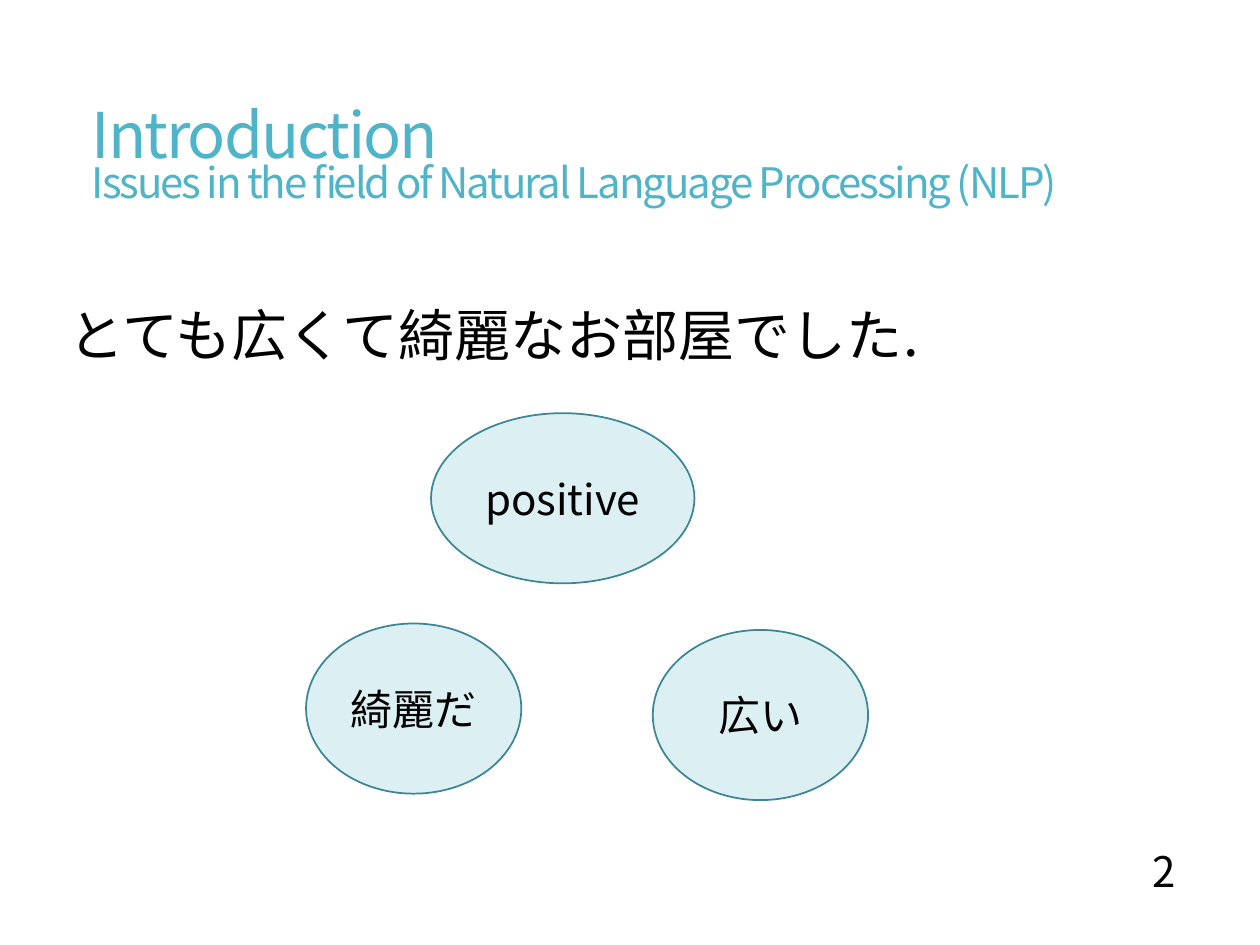
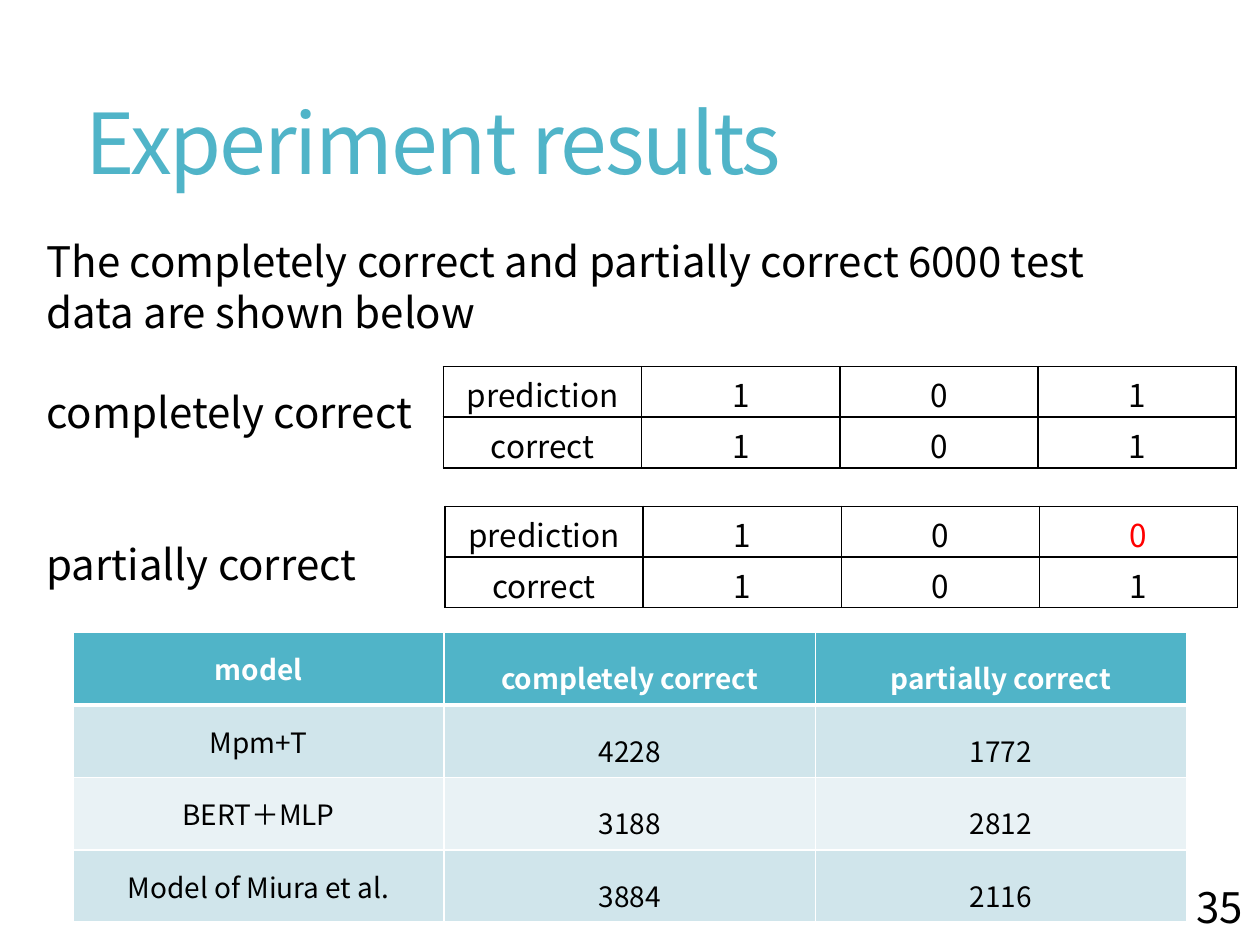
from dataclasses import dataclass
from typing import NamedTuple

from lxml.etree import SubElement
from pptx import Presentation
from pptx.dml.color import RGBColor
from pptx.enum.shapes import MSO_SHAPE
from pptx.enum.text import MSO_ANCHOR, MSO_AUTO_SIZE, PP_ALIGN
from pptx.oxml import parse_xml
from pptx.oxml.ns import nsdecls, qn
from pptx.util import Cm, Pt


@dataclass(frozen=True)
class Theme:
    font: str = "Noto Sans CJK JP"
    accent: str = "50B4C8"
    ink: str = "000000"
    paper: str = "FFFFFF"
    wrong: str = "FF0000"
    bubble: str = "DCF0F4"
    bubble_line: str = "3B8594"
    bands: tuple[str, str] = ("D0E5EB", "E9F2F5")
    title: int = 48
    long_title: int = 36
    sentence: int = 32
    text: int = 24
    label: int = 18
    result: int = 16


class Box(NamedTuple):
    left: float
    top: float
    width: float
    height: float

    def lengths(self) -> list:
        return [Cm(value) for value in self]


class Bubble(NamedTuple):
    text: str
    box: Box


class LabelRow(NamedTuple):
    left: float
    top: float
    values: tuple[str, ...]
    wrong_column: int | None = None


THEME = Theme()

BUBBLES = [
    Bubble("positive", Box(8.69, 8.33, 5.31, 3.43)),
    Bubble("広い", Box(13.16, 12.7, 4.34, 3.43)),
    Bubble("綺麗だ", Box(6.17, 12.57, 4.34, 3.43)),
]
LABEL_ROWS = [
    LabelRow(8.94, 7.39, ("prediction", "1", "0", "1")),
    LabelRow(8.94, 8.41, ("correct", "1", "0", "1")),
    LabelRow(8.97, 10.21, ("prediction", "1", "0", "0"), wrong_column=3),
    LabelRow(8.97, 11.23, ("correct", "1", "0", "1")),
]
RESULTS = [
    ("model", "completely correct", "partially correct"),
    ("Mpm+T", "4228", "1772"),
    ("BERT＋MLP", "3188", "2812"),
    ("Model of Miura et al.", "3884", "2116"),
]
# Text and the space before it in points
EXPLANATION = [
    ("The completely correct and partially correct 6000 test data are shown below", 0),
    ("completely correct", 28),
    ("partially correct", 58),
]


def style(para, size: int, color: str = THEME.ink, align=PP_ALIGN.LEFT,
          bold: bool = False) -> None:
    para.alignment = align
    font = para.font
    font.size = Pt(size)
    font.bold = bold
    font.color.rgb = RGBColor.from_string(color)
    font.name = THEME.font
    SubElement(font._element, qn("a:ea"), typeface=THEME.font)


def place(shape, box: Box) -> None:
    shape.left, shape.top, shape.width, shape.height = box.lengths()


def add_title(page, box: Box, text: str, size: int, spacing: float,
              subtitle: str = "") -> None:
    title = page.shapes.title
    place(title, box)
    frame = title.text_frame
    frame.auto_size = MSO_AUTO_SIZE.NONE
    frame.vertical_anchor = MSO_ANCHOR.MIDDLE
    para = frame.paragraphs[0]
    para.line_spacing = spacing
    style(para, size, THEME.accent)
    para.font._element.set("spc", "-120")
    para.add_run().text = text
    if subtitle:
        para.add_line_break()
        span = para.add_run()
        span.text = subtitle
        span.font.size = Pt(THEME.text)


def add_page_number(page, box: Box, number: int) -> None:
    frame = page.shapes.add_textbox(*box.lengths()).text_frame
    frame.word_wrap = True
    frame.vertical_anchor = MSO_ANCHOR.MIDDLE
    frame.text = str(number)
    style(frame.paragraphs[0], THEME.text, align=PP_ALIGN.RIGHT)


def add_bubble(page, bubble: Bubble) -> None:
    shape = page.shapes.add_shape(MSO_SHAPE.OVAL, *bubble.box.lengths())
    shape.shadow.inherit = False
    shape.fill.solid()
    shape.fill.fore_color.rgb = RGBColor.from_string(THEME.bubble)
    shape.line.color.rgb = RGBColor.from_string(THEME.bubble_line)
    shape.line.width = Pt(1)
    frame = shape.text_frame
    frame.vertical_anchor = MSO_ANCHOR.MIDDLE
    frame.text = bubble.text
    style(frame.paragraphs[0], THEME.text, align=PP_ALIGN.CENTER)


def add_plain_table(page, box: Box, rows: int, columns: int):
    table = page.shapes.add_table(rows, columns, *box.lengths()).table
    table.first_row = False
    table.horz_banding = False
    for row in table.rows:
        row.height = Cm(box.height / rows)
    for column in table.columns:
        column.width = Cm(box.width / columns)
    return table


def set_borders(cell, color: str, bottom: int = 1, top: int = 1) -> None:
    properties = cell._tc.get_or_add_tcPr()
    widths = {"lnL": 1, "lnR": 1, "lnT": top, "lnB": bottom}
    for index, (side, width) in enumerate(widths.items()):
        properties.insert(index, parse_xml(
            f'<a:{side} {nsdecls("a")} w="{Pt(width)}"><a:solidFill>'
            f'<a:srgbClr val="{color}"/></a:solidFill></a:{side}>'))


def add_label_row(page, row: LabelRow) -> None:
    box = Box(row.left, row.top, 15.98, 1.02)
    table = add_plain_table(page, box, 1, len(row.values))
    for index, text in enumerate(row.values):
        cell = table.cell(0, index)
        cell.text = text
        cell.margin_top, cell.margin_bottom = Cm(0.13), Cm(0)
        cell.fill.background()
        set_borders(cell, THEME.ink)
        para = cell.text_frame.paragraphs[0]
        para.line_spacing = Pt(25)
        color = THEME.wrong if index == row.wrong_column else THEME.ink
        style(para, THEME.label, color, PP_ALIGN.CENTER)


def add_results(page, box: Box) -> None:
    table = add_plain_table(page, box, len(RESULTS), len(RESULTS[0]))
    for row, values in enumerate(RESULTS):
        header = row == 0
        fill = THEME.accent if header else THEME.bands[(row - 1) % 2]
        for column, text in enumerate(values):
            cell = table.cell(row, column)
            cell.text = text
            cell.margin_top = cell.margin_bottom = Cm(0.1)
            cell.fill.solid()
            cell.fill.fore_color.rgb = RGBColor.from_string(fill)
            set_borders(cell, THEME.paper, bottom=3 if header else 1,
                        top=3 if row == 1 else 1)
            para = cell.text_frame.paragraphs[0]
            if column == 0:
                cell.vertical_anchor = MSO_ANCHOR.MIDDLE
            else:
                para.line_spacing = 1.5
            style(para, THEME.result, THEME.paper if header else THEME.ink,
                  PP_ALIGN.CENTER, bold=header)


def build_introduction(deck) -> None:
    page = deck.slides.add_slide(deck.slide_layouts[1])
    add_title(page, Box(1.6, 1.68, 22.38, 3.12), "Introduction", THEME.long_title, 0.72,
              "Issues in the field of Natural Language Processing (NLP)")
    body = page.placeholders[1]
    place(body, Box(1.12, 4.8, 22.68, 12.04))
    frame = body.text_frame
    frame.auto_size = MSO_AUTO_SIZE.NONE
    frame.margin_top = Cm(1.47)
    frame.text = "とても広くて綺麗なお部屋でした."
    para = frame.paragraphs[0]
    para.line_spacing = 0.85
    para.space_before = Pt(0)
    properties = para._p.get_or_add_pPr()
    properties.set("marL", "0")
    properties.set("indent", "0")
    SubElement(properties, qn("a:buNone"))
    style(para, THEME.sentence)
    add_page_number(page, Box(21.34, 16.84, 2.62, 1.42), 2)
    for bubble in BUBBLES:
        add_bubble(page, bubble)


def build_results(deck) -> None:
    page = deck.slides.add_slide(deck.slide_layouts[5])
    add_results(page, Box(1.47, 12.75, 22.45, 5.84))
    add_title(page, Box(1.47, 1.02, 22.45, 3.91), "Experiment results", THEME.title, 0.9)
    frame = page.shapes.add_textbox(*Box(0.69, 4.55, 22.17, 8.2).lengths()).text_frame
    frame.word_wrap = True
    frame.margin_top = Cm(0.2)
    frame.text = "\n".join(text for text, _ in EXPLANATION)
    for para, (_, gap) in zip(frame.paragraphs, EXPLANATION):
        para.line_spacing = Pt(29)
        para.space_before = Pt(gap)
        style(para, THEME.text)
    for row in LABEL_ROWS:
        add_label_row(page, row)
    add_page_number(page, Box(22.07, 17.55, 3.23, 1.47), 35)


def main() -> None:
    deck = Presentation()
    deck.slide_width, deck.slide_height = Cm(25.4), Cm(19.05)
    build_introduction(deck)
    build_results(deck)
    deck.save("out.pptx")


if __name__ == "__main__":
    main()
